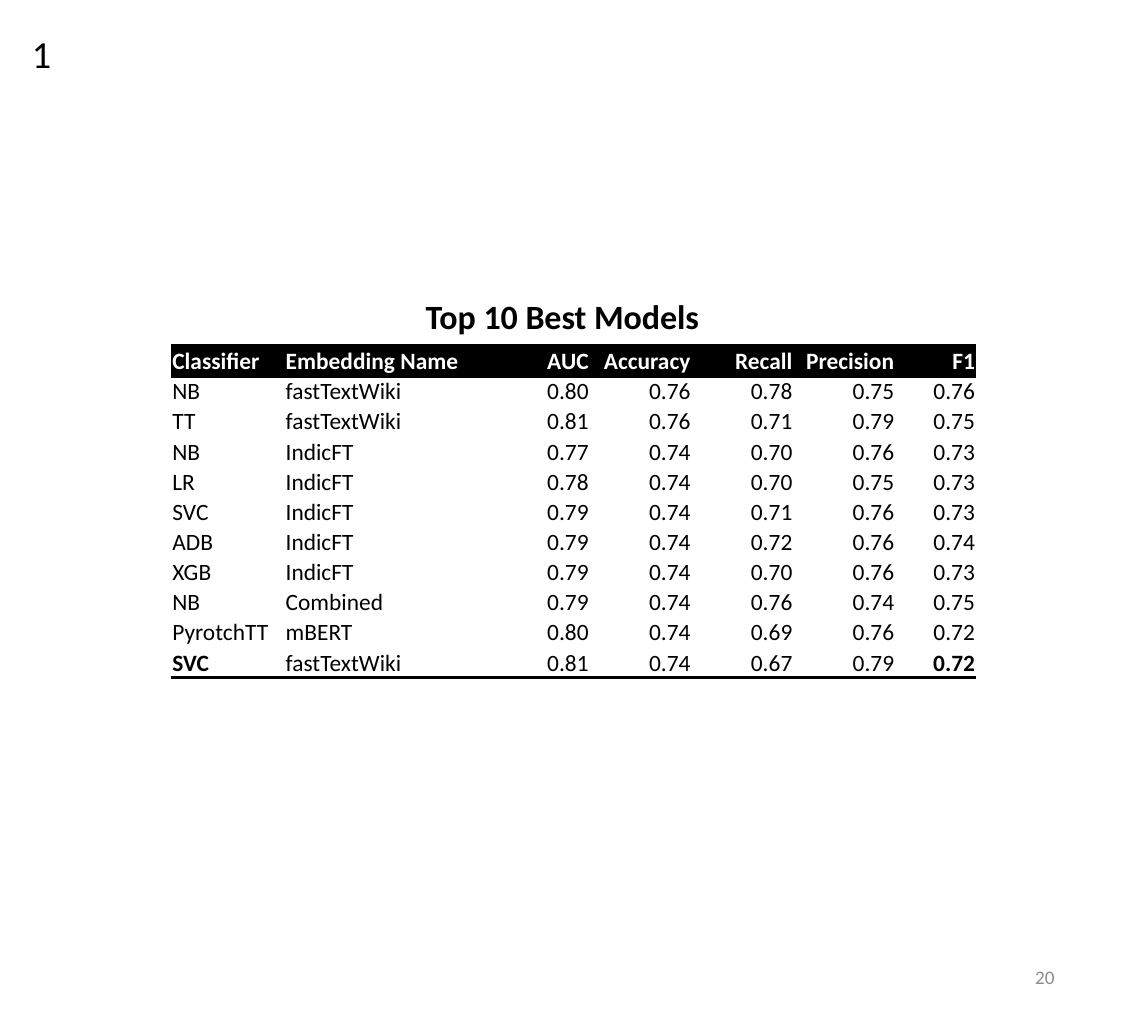
from lxml import etree
from pptx import Presentation
from pptx.dml.color import RGBColor
from pptx.enum.text import MSO_ANCHOR, MSO_AUTO_SIZE, PP_ALIGN
from pptx.oxml.ns import qn
from pptx.util import Cm, Pt

LEFT, CENTER, RIGHT = PP_ALIGN.LEFT, PP_ALIGN.CENTER, PP_ALIGN.RIGHT
TOP, MIDDLE, BOTTOM = MSO_ANCHOR.TOP, MSO_ANCHOR.MIDDLE, MSO_ANCHOR.BOTTOM
FIT_SHAPE, NO_FIT = MSO_AUTO_SIZE.SHAPE_TO_FIT_TEXT, MSO_AUTO_SIZE.NONE

BLACK = RGBColor(0x00, 0x00, 0x00)
WHITE = RGBColor(0xFF, 0xFF, 0xFF)
GREY = RGBColor(0x8C, 0x8C, 0x8C)
FONT = "Calibri"

COLUMN_WIDTHS = [1.88, 3.38, 1.69, 1.69, 1.69, 1.69, 1.34]
ROW_HEIGHT = 0.5
TEXT_COLUMNS = 2
RULE_WIDTH = Pt(2)

HEADINGS = ["Classifier", "Embedding Name", "AUC", "Accuracy", "Recall", "Precision", "F1"]
MODELS = [
    ["NB", "fastTextWiki", "0.80", "0.76", "0.78", "0.75", "0.76"],
    ["TT", "fastTextWiki", "0.81", "0.76", "0.71", "0.79", "0.75"],
    ["NB", "IndicFT", "0.77", "0.74", "0.70", "0.76", "0.73"],
    ["LR", "IndicFT", "0.78", "0.74", "0.70", "0.75", "0.73"],
    ["SVC", "IndicFT", "0.79", "0.74", "0.71", "0.76", "0.73"],
    ["ADB", "IndicFT", "0.79", "0.74", "0.72", "0.76", "0.74"],
    ["XGB", "IndicFT", "0.79", "0.74", "0.70", "0.76", "0.73"],
    ["NB", "Combined", "0.79", "0.74", "0.76", "0.74", "0.75"],
    ["PyrotchTT", "mBERT", "0.80", "0.74", "0.69", "0.76", "0.72"],
    ["SVC", "fastTextWiki", "0.81", "0.74", "0.67", "0.79", "0.72"],
]


def add_run(paragraph, text, size, color, bold=False):
    run = paragraph.add_run()
    run.text = text
    run.font.name = FONT
    run.font.size = Pt(size)
    run.font.bold = bold
    run.font.color.rgb = color


def add_label(slide, text, box, size, color=BLACK, bold=False, align=LEFT,
              anchor=TOP, wrap=True, fit=FIT_SHAPE):
    frame = slide.shapes.add_textbox(*[Cm(length) for length in box]).text_frame
    frame.word_wrap = wrap
    frame.auto_size = fit
    frame.vertical_anchor = anchor
    paragraph = frame.paragraphs[0]
    paragraph.alignment = align
    add_run(paragraph, text, size, color, bold)


def set_borders(cell, ruled_sides):
    """Rule the given sides and clear the rest; call before filling the cell."""
    properties = cell._tc.get_or_add_tcPr()
    for side in ("lnL", "lnR", "lnT", "lnB"):
        border = etree.SubElement(properties, qn(f"a:{side}"))
        if side in ruled_sides:
            border.set("w", str(RULE_WIDTH))
            fill = etree.SubElement(border, qn("a:solidFill"))
            etree.SubElement(fill, qn("a:srgbClr")).set("val", str(BLACK))
        else:
            etree.SubElement(border, qn("a:noFill"))


def fill_cell(cell, text, align, header, bold, ruled_sides):
    cell.margin_left = cell.margin_right = cell.margin_top = Cm(0.02)
    cell.margin_bottom = 0
    cell.vertical_anchor = BOTTOM
    set_borders(cell, ruled_sides)
    cell.fill.solid()
    cell.fill.fore_color.rgb = BLACK if header else WHITE
    paragraph = cell.text_frame.paragraphs[0]
    paragraph.alignment = align
    add_run(paragraph, text, 11, WHITE if header else BLACK, bold)


def add_model_table(slide, left, top):
    rows = [HEADINGS] + MODELS
    last_row, last_column = len(rows) - 1, len(HEADINGS) - 1
    table = slide.shapes.add_table(
        len(rows), len(HEADINGS), Cm(left), Cm(top),
        Cm(sum(COLUMN_WIDTHS)), Cm(ROW_HEIGHT * len(rows))).table
    table.first_row = table.horz_banding = False
    for column, width in zip(table.columns, COLUMN_WIDTHS):
        column.width = Cm(width)

    for r, values in enumerate(rows):
        table.rows[r].height = Cm(ROW_HEIGHT)
        # Rules run above and below the header and below the last model
        ruled_sides = set()
        if r in (0, 1):
            ruled_sides.add("lnT")
        if r in (0, last_row):
            ruled_sides.add("lnB")
        for c, value in enumerate(values):
            bold = r == 0 or (r == last_row and c in (0, last_column))
            align = LEFT if c < TEXT_COLUMNS else RIGHT
            fill_cell(table.cell(r, c), value, align, r == 0, bold, ruled_sides)


def main():
    prs = Presentation()
    prs.slide_width, prs.slide_height = Cm(19.05), Cm(16.99)
    slide = prs.slides.add_slide(prs.slide_layouts[6])

    # Table title
    add_label(slide, "Top 10 Best Models", (4.57, 4.78, 9.53, 0.94), 16,
              bold=True, align=CENTER)

    # Slide number
    add_label(slide, "20", (13.46, 15.75, 4.29, 0.91), 9, color=GREY,
              align=RIGHT, anchor=MIDDLE, fit=NO_FIT)

    # Corner number
    add_label(slide, "1", (0.28, 0.38, 0.84, 1.02), 18, wrap=False)

    # Model scores
    add_model_table(slide, 2.84, 5.74)

    prs.save("out.pptx")


if __name__ == "__main__":
    main()
